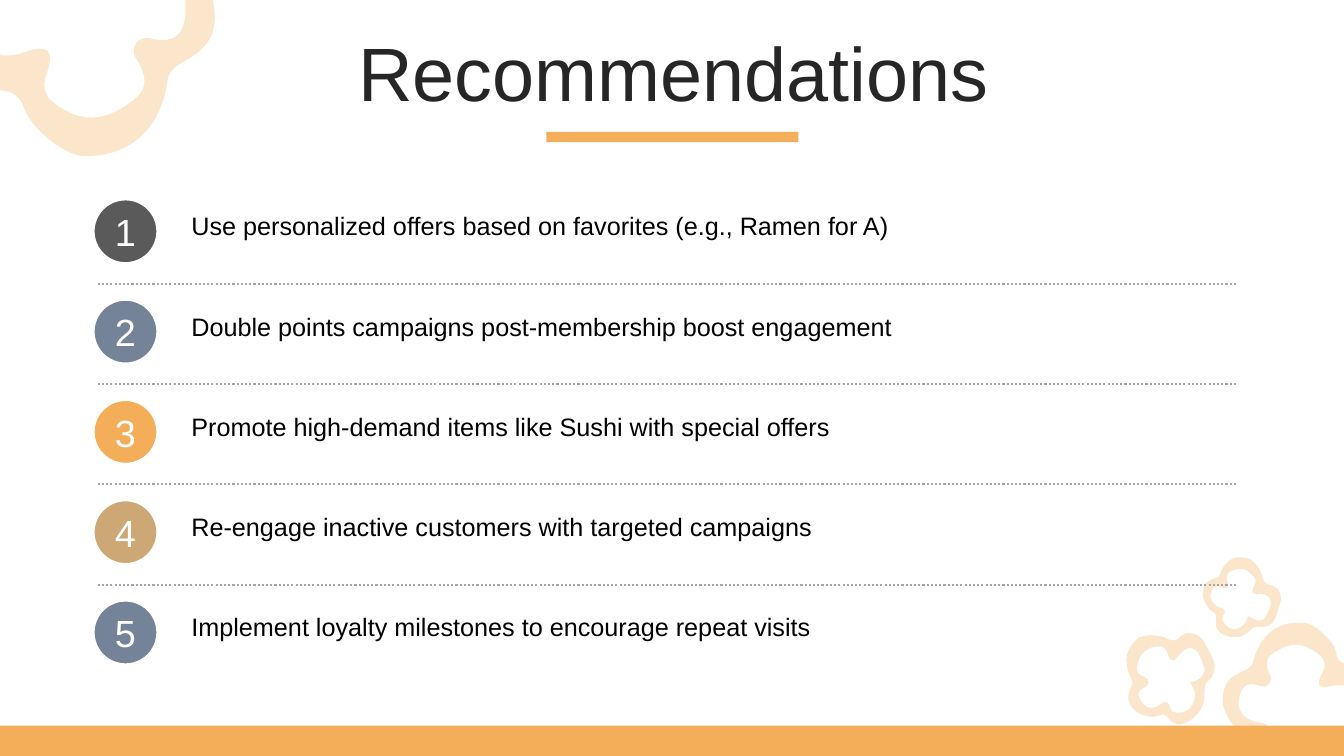
from lxml import etree
from pptx import Presentation
from pptx.dml.color import RGBColor
from pptx.enum.dml import MSO_LINE
from pptx.enum.shapes import MSO_CONNECTOR, MSO_SHAPE
from pptx.enum.text import MSO_ANCHOR, PP_ALIGN
from pptx.oxml.ns import qn
from pptx.util import Inches, Pt

RECT, OVAL = MSO_SHAPE.RECTANGLE, MSO_SHAPE.OVAL
STRAIGHT, DOTTED = MSO_CONNECTOR.STRAIGHT, MSO_LINE.ROUND_DOT
LEFT, CENTER = PP_ALIGN.LEFT, PP_ALIGN.CENTER
TOP, MIDDLE = MSO_ANCHOR.TOP, MSO_ANCHOR.MIDDLE

WIDTH, HEIGHT = 13.33, 7.5
COLORS = {
    "orange": "F4AE59", "slate": "748398", "charcoal": "5A5A5A", "tan": "CDA874",
    "title": "262626", "body": "000000", "white": "FFFFFF", "divider": "A6A6A6",
}
RECOMMENDATIONS = [
    ("Use personalized offers based on favorites (e.g., Ramen for A)", "charcoal"),
    ("Double points campaigns post-membership boost engagement", "slate"),
    ("Promote high-demand items like Sushi with special offers", "orange"),
    ("Re-engage inactive customers with targeted campaigns", "tan"),
    ("Implement loyalty milestones to encourage repeat visits", "slate"),
]

# Each kernel is a list of contours; pairs are points, sixes are Bezier curves.
LARGE_KERNEL = [[
    (1.84, 0), (2.11, 0), (2.2, .41, 1.98, .52, 1.76, .65),
    (1.71, .68, 1.67, .73, 1.66, .8), (1.62, 1.15, 1.4, 1.54, .86, 1.55),
    (.66, 1.56, .36, 1.3, .29, 1.17), (.26, 1.12, .24, 1.08, .23, 1.05),
    (.2, .97, .13, .91, .04, .9), (0, .9), (0, .54), (.01, .54, .03, .55, .04, .55),
    (.11, .55, .18, .55, .23, .52), (.47, .44, .55, .48, .46, .74),
    (.38, .96, .56, 1.05, .7, 1.12), (.94, 1.23, 1.16, 1.13, 1.35, .97),
    (1.48, .86, 1.44, .72, 1.35, .58), (1.28, .48, 1.37, .35, 1.49, .38),
    (1.62, .41, 1.82, .44, 1.84, .13),
]]
EDGE_KERNEL = [[
    (1.83, 1.18), (1.87, 1.18, 1.9, 1.18, 1.94, 1.18),
    (2.05, 1.19, 2.21, 1.36, 2.24, 1.43), (2.25, 1.46, 2.26, 1.49, 2.26, 1.51),
    (2.27, 1.54, 2.29, 1.57, 2.32, 1.58), (2.33, 1.59), (2.33, 1.8), (2.28, 1.8),
    (2.26, 1.8, 2.24, 1.8, 2.23, 1.8), (2.09, 1.84, 2.04, 1.81, 2.12, 1.67),
    (2.18, 1.55, 2.08, 1.48, 2, 1.44), (1.87, 1.36, 1.74, 1.4, 1.63, 1.48),
    (1.54, 1.53, 1.56, 1.62, 1.6, 1.7), (1.63, 1.76, 1.57, 1.83, 1.51, 1.81),
    (1.43, 1.78, 1.32, 1.75, 1.29, 1.93), (1.26, 2.1, 1.4, 2.16, 1.5, 2.17),
    (1.55, 2.17, 1.58, 2.2, 1.58, 2.24), (1.28, 2.24), (1.27, 2.23),
    (1.22, 2.2, 1.14, 2.06, 1.13, 1.99), (1.11, 1.74, 1.24, 1.7, 1.37, 1.64),
    (1.4, 1.62, 1.43, 1.59, 1.43, 1.56), (1.48, 1.38, 1.59, 1.2, 1.83, 1.18),
]]
LEFT_KERNEL = [[
    (.8, 1.28), (.75, 1.28, .72, 1.3, .69, 1.33), (.66, 1.36, .62, 1.36, .58, 1.34),
    (.57, 1.33, .56, 1.33, .54, 1.32), (.49, 1.3, .35, 1.29, .29, 1.33),
    (.13, 1.46, .16, 1.62, .22, 1.73), (.23, 1.75, .24, 1.77, .23, 1.79),
    (.19, 1.88, .15, 1.96, .27, 2.06), (.31, 2.09, .41, 2.12, .45, 2.11),
    (.55, 2.09, .53, 2.06, .6, 2.14), (.68, 2.23, .8, 2.17, .88, 2.08),
    (1, 1.94, .9, 1.81, .99, 1.75), (1.08, 1.66, 1.05, 1.55, .99, 1.46),
    (.94, 1.37, .93, 1.3, .8, 1.28),
], [
    (.94, 1.61), (.97, 1.68, .91, 1.73, .87, 1.75), (.84, 1.77, .8, 1.76, .81, 1.78),
    (.82, 1.8, .84, 1.83, .85, 1.86), (.87, 1.96, .8, 2.08, .68, 2.07),
    (.62, 2.07, .61, 2.04, .6, 2), (.59, 1.97, .55, 1.95, .52, 1.98),
    (.47, 2.02, .38, 2.06, .32, 1.96), (.25, 1.87, .32, 1.83, .37, 1.81),
    (.4, 1.79, .4, 1.74, .36, 1.72), (.3, 1.7, .26, 1.67, .28, 1.61),
    (.29, 1.52, .34, 1.45, .43, 1.42), (.49, 1.41, .56, 1.4, .58, 1.48),
    (.61, 1.58, .65, 1.57, .7, 1.49), (.71, 1.48, .73, 1.46, .75, 1.45),
    (.76, 1.43, .79, 1.43, .81, 1.43), (.9, 1.45, .91, 1.54, .94, 1.61),
]]
TOP_KERNEL = [[
    (1.68, .85), (1.65, .82, 1.62, .81, 1.59, .8), (1.56, .8, 1.53, .77, 1.52, .73),
    (1.52, .72, 1.52, .71, 1.51, .69), (1.5, .65, 1.43, .55, 1.38, .54),
    (1.22, .49, 1.14, .59, 1.1, .7), (1.1, .71, 1.08, .73, 1.07, .73),
    (1, .75, .93, .77, .93, .9), (.93, .94, .97, 1.02, .99, 1.04),
    (1.06, 1.1, 1.07, 1.07, 1.06, 1.16), (1.04, 1.26, 1.14, 1.32, 1.24, 1.32),
    (1.38, 1.33, 1.41, 1.19, 1.49, 1.22), (1.6, 1.23, 1.65, 1.16, 1.67, 1.07),
    (1.69, .99, 1.73, .95, 1.68, .85),
], [
    (1.55, 1.12), (1.53, 1.17, 1.47, 1.16, 1.43, 1.14), (1.4, 1.13, 1.39, 1.1, 1.38, 1.12),
    (1.37, 1.13, 1.36, 1.17, 1.35, 1.18), (1.3, 1.25, 1.2, 1.27, 1.14, 1.18),
    (1.11, 1.14, 1.12, 1.12, 1.14, 1.09), (1.16, 1.07, 1.14, 1.03, 1.11, 1.03),
    (1.06, 1.02, .99, .97, 1.01, .88), (1.04, .79, 1.09, .81, 1.13, .83),
    (1.16, .85, 1.19, .82, 1.18, .79), (1.16, .74, 1.16, .69, 1.2, .67),
    (1.26, .64, 1.33, .62, 1.39, .68), (1.43, .71, 1.48, .75, 1.44, .81),
    (1.4, .88, 1.42, .9, 1.49, .89), (1.51, .89, 1.53, .89, 1.55, .9),
    (1.56, .91, 1.58, .92, 1.59, .93), (1.63, 1.01, 1.58, 1.06, 1.55, 1.12),
]]


def color(name):
    return RGBColor.from_string(COLORS[name])


def write_text(shape, text, *, size, fill, align=LEFT, anchor=TOP, spacing=None, before=0):
    frame = shape.text_frame
    frame.word_wrap = True
    frame.vertical_anchor = anchor
    paragraph = frame.paragraphs[0]
    paragraph.alignment = align
    paragraph.line_spacing = spacing
    paragraph.space_before = Pt(before)
    run = paragraph.add_run()
    run.text = text
    run.font.name, run.font.size = "Arial", Pt(size)
    run.font.color.rgb = color(fill)


def paint(shape, fill):
    shape.shadow.inherit = False
    shape.fill.solid()
    shape.fill.fore_color.rgb = color(fill)
    shape.line.fill.background()


def add_solid(slide, kind, box, fill):
    shape = slide.shapes.add_shape(kind, *map(Inches, box))
    paint(shape, fill)
    return shape


def bend_edges(shape, segments, left, top):
    """Turn the straight edges that stand for Bezier curves into those curves."""
    edges = list(shape._element.spPr.iter(qn("a:lnTo")))
    for edge, segment in zip(edges, segments):
        if len(segment) == 6:
            edge.tag = qn("a:cubicBezTo")
            for place in (0, 1):
                x, y = segment[2 * place:2 * place + 2]
                control = etree.Element(qn("a:pt"), x=str(Inches(left + x) - shape.left),
                                        y=str(Inches(top + y) - shape.top))
                edge.insert(place, control)


def add_popcorn(slide, left, top, kernels):
    for kernel in kernels:
        outlines = [[(Inches(left + segment[-2]), Inches(top + segment[-1]))
                     for segment in contour] for contour in kernel]
        builder = slide.shapes.build_freeform(*outlines[0][0], scale=1.0)
        builder.add_line_segments(outlines[0][1:], close=True)
        for hole in outlines[1:]:
            builder.move_to(*hole[0])
            builder.add_line_segments(hole[1:], close=True)
        popcorn = builder.convert_to_shape()
        bend_edges(popcorn, [segment for contour in kernel for segment in contour[1:]],
                   left, top)
        paint(popcorn, "orange")
        tint = next(popcorn._element.spPr.iter(qn("a:srgbClr")))
        etree.SubElement(tint, qn("a:alpha"), val="30000")


def add_heading(slide, left, top, width, height):
    add_solid(slide, RECT, (left + 5.07, top + 0.94, 2.5, 0.1), "orange")
    title = slide.shapes.add_textbox(*map(Inches, (left, top, width, height)))
    write_text(title, "Recommendations", size=54, fill="title", align=CENTER,
               anchor=MIDDLE, spacing=0.9, before=10)


def add_divider(slide, left, y, width):
    divider = slide.shapes.add_connector(
        STRAIGHT, Inches(left), Inches(y), Inches(left + width), Inches(y))
    divider.line.color.rgb = color("divider")
    divider.line.width = Pt(1.5)
    divider.line.dash_style = DOTTED
    etree.SubElement(divider._element.spPr, qn("a:effectLst"))


def add_recommendations(slide, left, top, width, height):
    badge_size = 0.63
    pitch = (height - badge_size) / (len(RECOMMENDATIONS) - 1)
    for index, (advice, fill) in enumerate(RECOMMENDATIONS):
        y = top + index * pitch
        if index:
            add_divider(slide, left + 0.04, y - 0.16, width - 0.04)
        badge = add_solid(slide, OVAL, (left, y, badge_size, badge_size), fill)
        badge.line.color.rgb = color("white")
        badge.line.width = Pt(1.25)
        write_text(badge, str(index + 1), size=27, fill="white", align=CENTER, anchor=MIDDLE)
        label = slide.shapes.add_textbox(*map(Inches, (left + 0.87, y + 0.06, 8.2, 0.4)))
        write_text(label, advice, size=18, fill="body")


def main():
    deck = Presentation()
    deck.slide_width, deck.slide_height = Inches(WIDTH), Inches(HEIGHT)
    slide = deck.slides.add_slide(deck.slide_layouts[6])
    add_popcorn(slide, 0, 0, [LARGE_KERNEL])
    add_popcorn(slide, 11, 5, [EDGE_KERNEL, LEFT_KERNEL, TOP_KERNEL])
    add_solid(slide, RECT, (0, 7.2, WIDTH, 0.3), "orange")
    add_heading(slide, 0.35, 0.37, 12.66, 0.79)
    add_recommendations(slide, 0.93, 1.98, 11.34, 4.61)
    deck.save("out.pptx")


if __name__ == "__main__":
    main()
